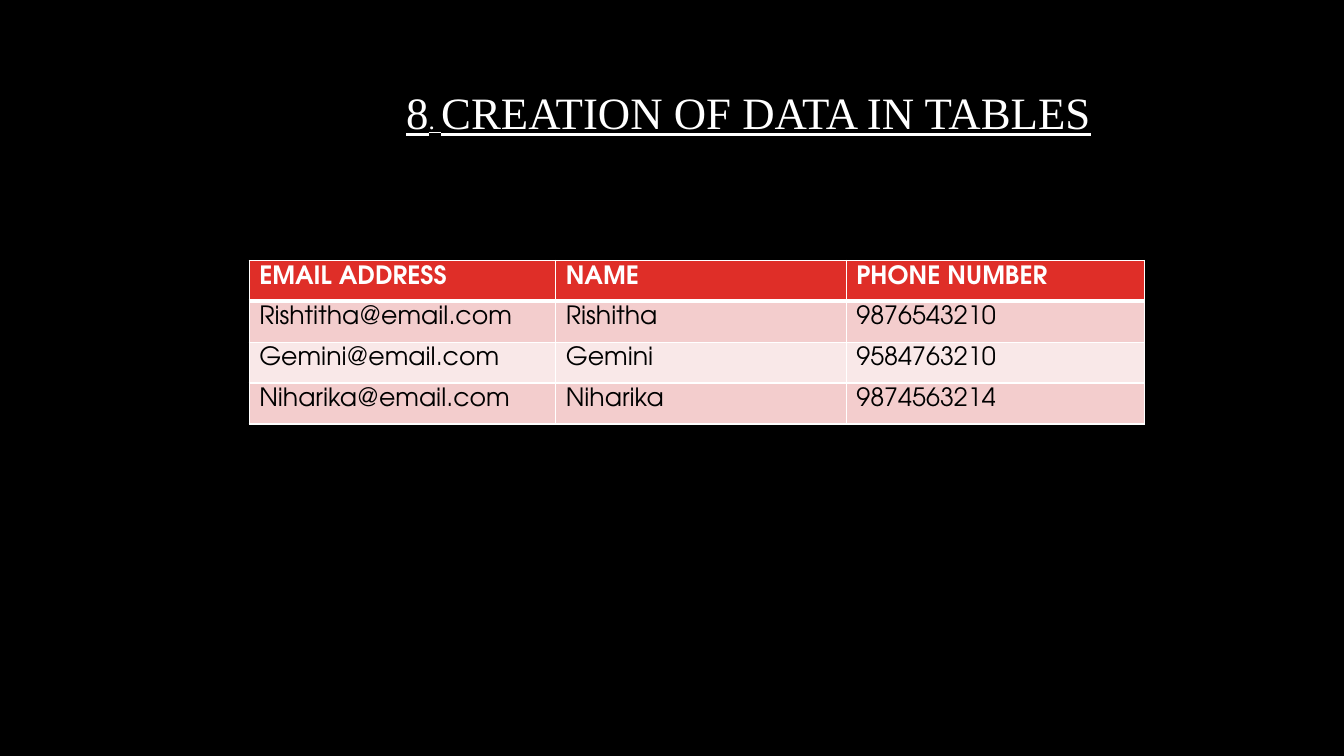
from lxml.etree import SubElement
from pptx import Presentation
from pptx.dml.color import RGBColor as RGB
from pptx.oxml.ns import qn
from pptx.util import Pt

INK = {"back": "000000", "white": "FFFFFF", "head": "DF2E28",
       "odd": "F3CDCD", "even": "F9E8E8", "text": "000000"}
ROWS = [
    ("EMAIL ADDRESS", "NAME", "PHONE NUMBER"),
    ("Rishtitha@email.com", "Rishitha", "9876543210"),
    ("Gemini@email.com", "Gemini", "9584763210"),
    ("Niharika@email.com", "Niharika", "9874563214"),
]
WIDTHS = (219, 207.5, 213)
HEIGHT = 29.2


def color(name):
    return RGB.from_string(INK[name])


def add_title(slide, parts):
    """Add the underlined heading from (text, size) parts."""
    box = slide.shapes.add_textbox(Pt(283), Pt(57), Pt(783), Pt(46))
    box.text_frame.word_wrap = True
    para = box.text_frame.paragraphs[0]
    para.font.name = "Times New Roman"
    para.font.underline = True
    para.font.color.rgb = color("white")
    for text, size in parts:
        run = para.add_run()
        run.text = text
        run.font.size = Pt(size)


def add_edge(cell, side, width):
    """Draw one white border of a cell; side is L, R, T or B."""
    props = cell._tc.get_or_add_tcPr()
    line = SubElement(props, qn(f"a:ln{side}"), w=str(Pt(width)))
    fill = SubElement(line, qn("a:solidFill"))
    SubElement(fill, qn("a:srgbClr"), val=INK["white"])


def fill_cell(cell, text, row):
    head = row == 0
    for side in "LRTB":
        thick = (head and side == "B") or (row == 1 and side == "T")
        add_edge(cell, side, 3 if thick else 1)
    cell.fill.solid()
    cell.fill.fore_color.rgb = color("head" if head else "odd" if row % 2 else "even")
    cell.text = text
    font = cell.text_frame.paragraphs[0].font
    font.name = "TeX Gyre Adventor"
    font.size = Pt(18)
    font.bold = head
    font.color.rgb = color("white" if head else "text")


def add_grid(slide):
    frame = slide.shapes.add_table(len(ROWS), len(WIDTHS), Pt(178), Pt(186),
                                   Pt(sum(WIDTHS)), Pt(HEIGHT * len(ROWS)))
    table = frame.table
    for col, width in zip(table.columns, WIDTHS):
        col.width = Pt(width)
    for r, texts in enumerate(ROWS):
        table.rows[r].height = Pt(HEIGHT)
        for c, text in enumerate(texts):
            fill_cell(table.cell(r, c), text, r)


def main():
    deck = Presentation()
    deck.slide_width, deck.slide_height = Pt(960), Pt(540)
    slide = deck.slides.add_slide(deck.slide_layouts[6])
    slide.background.fill.solid()
    slide.background.fill.fore_color.rgb = color("back")
    add_title(slide, [("8", 32), (". ", 18), ("CREATION OF DATA IN TABLES", 32)])
    add_grid(slide)
    deck.save("out.pptx")


if __name__ == "__main__":
    main()
